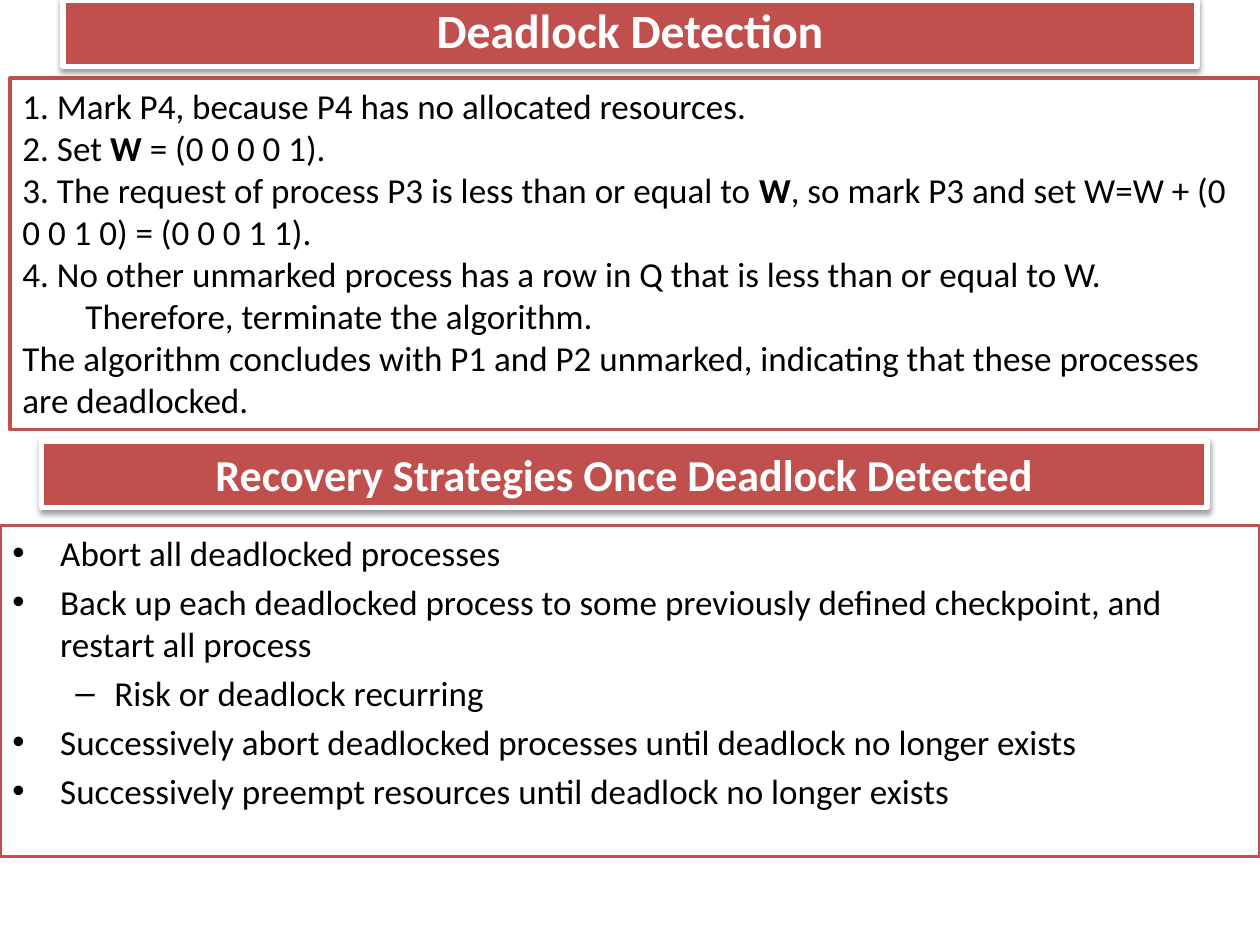
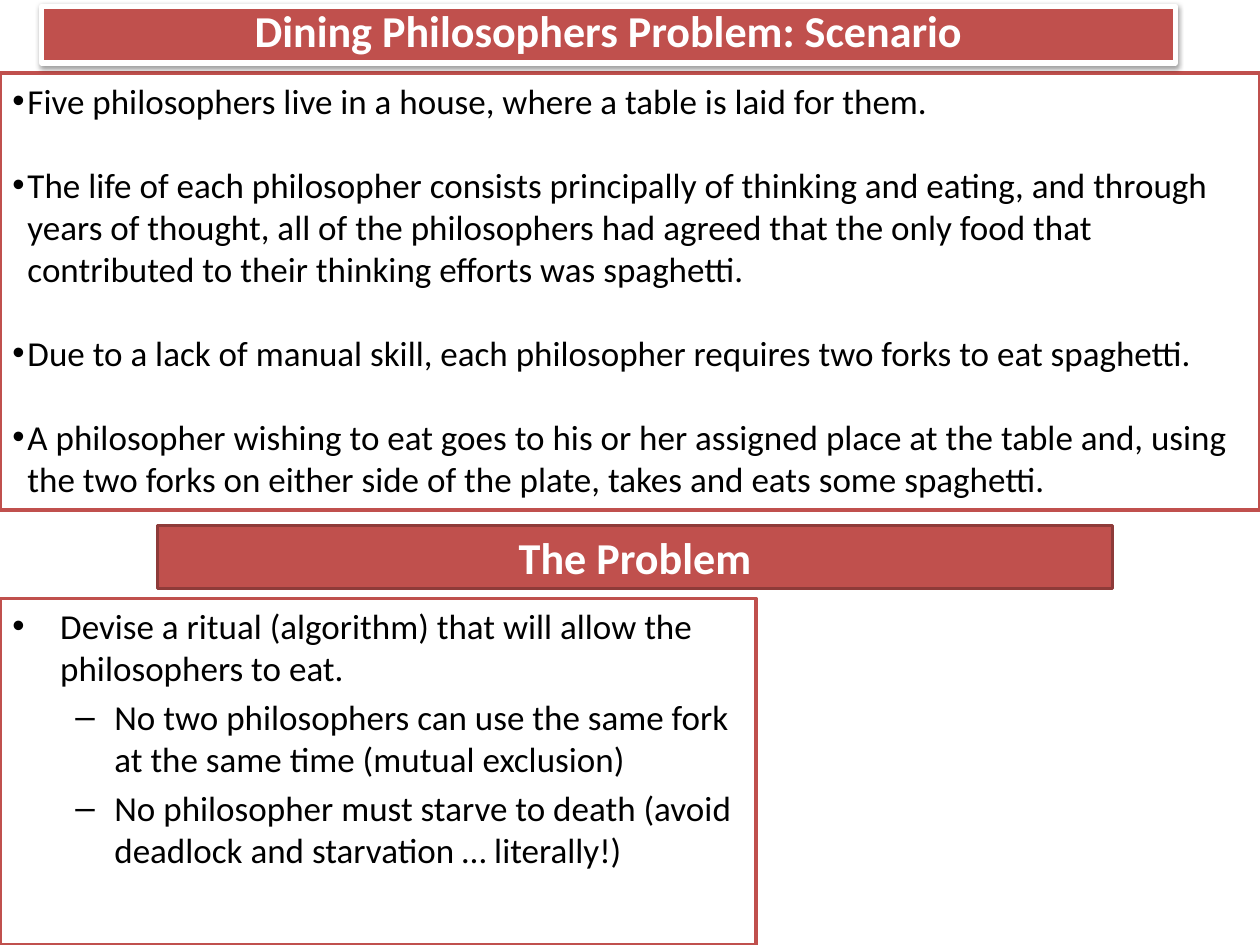
"""Build two slides on deadlock recovery and the dining philosophers."""
import pptx
import pptx.dml.color
import pptx.enum.text
import pptx.oxml
import pptx.oxml.ns
import pptx.util
from lxml import etree

Inches = pptx.util.Inches
Pt = pptx.util.Pt
RGBColor = pptx.dml.color.RGBColor

RED = RGBColor(0xC0, 0x50, 0x4D)
DARK_RED = RGBColor(0x8E, 0x3B, 0x39)
WHITE = RGBColor(0xFF, 0xFF, 0xFF)
BLACK = RGBColor(0x00, 0x00, 0x00)
FONT = "Calibri"
BODY_SIZE = 20

PLAIN = (0, 0, None)
INDENTED = (0.5, 0, None)
BULLET = (0.38, -0.38, "•")
DASH = (0.81, -0.31, "–")
TIGHT_BULLET = (0.12, -0.12, "•")

ALGORITHM_STEPS = [
    (PLAIN, "1. Mark P4, because P4 has no allocated resources."),
    (PLAIN, "2. Set *W* = (0 0 0 0 1)."),
    (PLAIN, "3. The request of process P3 is less than or equal to *W*, "
            "so mark P3 and set W=W + (0 0 0 1 0) = (0 0 0 1 1)."),
    (PLAIN, "4. No other unmarked process has a row in Q that is less than or equal to W."),
    (INDENTED, "Therefore, terminate the algorithm."),
    (PLAIN, "The algorithm concludes with P1 and P2 unmarked, "
            "indicating that these processes are deadlocked."),
]
RECOVERY_STRATEGIES = [
    (BULLET, "Abort all deadlocked processes"),
    (BULLET, "Back up each deadlocked process to some previously defined checkpoint, "
             "and restart all process"),
    (DASH, "Risk or deadlock recurring"),
    (BULLET, "Successively abort deadlocked processes until deadlock no longer exists"),
    (BULLET, "Successively preempt resources until deadlock no longer exists"),
]
SCENARIO = [
    (TIGHT_BULLET, "Five philosophers live in a house, where a table is laid for them."),
    (TIGHT_BULLET, "The life of each philosopher consists principally of thinking and eating, "
                   "and through years of thought, all of the philosophers had agreed that the "
                   "only food that contributed to their thinking efforts was spaghetti."),
    (TIGHT_BULLET, "Due to a lack of manual skill, each philosopher requires two forks "
                   "to eat spaghetti."),
    (TIGHT_BULLET, "A philosopher wishing to eat goes to his or her assigned place at the table "
                   "and, using the two forks on either side of the plate, takes and eats "
                   "some spaghetti."),
]
PROBLEM = [
    (BULLET, "Devise a ritual (algorithm) that will allow the philosophers to eat."),
    (DASH, "No two philosophers can use the same fork at the same time (mutual exclusion)"),
    (DASH, "No philosopher must starve to death "
           "(avoid deadlock and starvation … literally!)"),
]


def place(shape, left, top, width, height):
    """Move and size a shape, in inches."""
    shape.left, shape.top = Inches(left), Inches(top)
    shape.width, shape.height = Inches(width), Inches(height)


def paint(shape, fill, line, line_width):
    """Give a shape a solid fill and outline."""
    shape.fill.solid()
    shape.fill.fore_color.rgb = fill
    shape.line.color.rgb = line
    shape.line.width = Pt(line_width)


def format_run(run, size, color, bold):
    """Set the font of a run."""
    run.font.name = FONT
    run.font.size = Pt(size)
    run.font.bold = bold
    run.font.color.rgb = color


def add_shadow(shape):
    """Add a soft shadow straight below a shape."""
    shape._element.spPr.append(pptx.oxml.parse_xml(
        f'<a:effectLst {pptx.oxml.ns.nsdecls("a")}>'
        f'<a:outerShdw blurRad="{Pt(3.1)}" dist="{Pt(1.6)}" dir="5400000" rotWithShape="0">'
        '<a:srgbClr val="000000"><a:alpha val="38000"/></a:srgbClr>'
        '</a:outerShdw></a:effectLst>'))


def format_banner(shape, bounds, text, size=25.2, line_spacing=1.0, raised=True):
    """Turn a shape into a red heading band."""
    place(shape, *bounds)
    if raised:
        paint(shape, RED, WHITE, 3)
        add_shadow(shape)
    else:
        paint(shape, RED, DARK_RED, 2)
    frame = shape.text_frame
    frame.text = text
    frame.word_wrap = True
    frame.auto_size = pptx.enum.text.MSO_AUTO_SIZE.NONE
    frame.vertical_anchor = pptx.enum.text.MSO_ANCHOR.MIDDLE
    paragraph = frame.paragraphs[0]
    paragraph.alignment = pptx.enum.text.PP_ALIGN.CENTER
    paragraph.line_spacing = line_spacing
    format_run(paragraph.runs[0], size, WHITE, True)


def add_banner(slide, bounds, text, **style):
    """Add a heading band beside the slide title."""
    shape = slide.shapes.add_textbox(0, 0, 0, 0)
    format_banner(shape, bounds, text, **style)


def indent(paragraph, margin, first_line, bullet):
    """Set the indents and the bullet of a paragraph."""
    properties = paragraph._p.get_or_add_pPr()
    properties.set("marL", str(Inches(margin)))
    properties.set("indent", str(Inches(first_line)))
    if bullet:
        font = etree.SubElement(properties, pptx.oxml.ns.qn("a:buFont"))
        font.set("typeface", "Arial")
        character = etree.SubElement(properties, pptx.oxml.ns.qn("a:buChar"))
        character.set("char", bullet)


def add_panel(slide, bounds, items, gap=0):
    """Add a red-framed text panel; asterisks enclose bold words."""
    panel = slide.shapes.add_textbox(0, 0, 0, 0)
    place(panel, *bounds)
    paint(panel, WHITE, RED, 2)
    frame = panel.text_frame
    frame.word_wrap = True
    for index, (style, text) in enumerate(items):
        paragraph = frame.add_paragraph() if index else frame.paragraphs[0]
        indent(paragraph, *style)
        paragraph.space_before = Pt(gap if index else 0)
        for position, part in enumerate(text.split("*")):
            run = paragraph.add_run()
            run.text = part
            format_run(run, BODY_SIZE, BLACK, position % 2 == 1)


def add_slide(presentation):
    """Add a slide with the title-only layout."""
    return presentation.slides.add_slide(presentation.slide_layouts[5])


def build_detection_slide(presentation):
    """Build the slide on deadlock detection and recovery."""
    slide = add_slide(presentation)
    add_panel(slide, (0.08, 0.62, 9.92, 2.79), ALGORITHM_STEPS)
    add_banner(slide, (0.5, 0, 9, 0.53), "Deadlock Detection", size=27.3, line_spacing=0.9)
    format_banner(slide.shapes.title, (0.33, 3.5, 9.25, 0.53),
                  "Recovery Strategies Once Deadlock Detected")
    add_panel(slide, (0, 4.17, 10, 2.63), RECOVERY_STRATEGIES, gap=4)


def build_philosophers_slide(presentation):
    """Build the slide on the dining philosophers."""
    slide = add_slide(presentation)
    add_panel(slide, (0, 0.58, 10, 3.47), SCENARIO, gap=24)
    add_banner(slide, (0.33, 0.05, 9, 0.45), "Dining Philosophers Problem: Scenario",
               line_spacing=0.8)
    format_banner(slide.shapes.title, (1.25, 4.17, 7.58, 0.5), "The Problem", raised=False)
    add_panel(slide, (0, 4.75, 6, 2.75), PROBLEM, gap=4)


def main():
    """Build and save the presentation."""
    presentation = pptx.Presentation()
    presentation.slide_width = Inches(10)
    presentation.slide_height = Inches(7.5)
    build_detection_slide(presentation)
    build_philosophers_slide(presentation)
    presentation.save("out.pptx")


if __name__ == "__main__":
    main()
